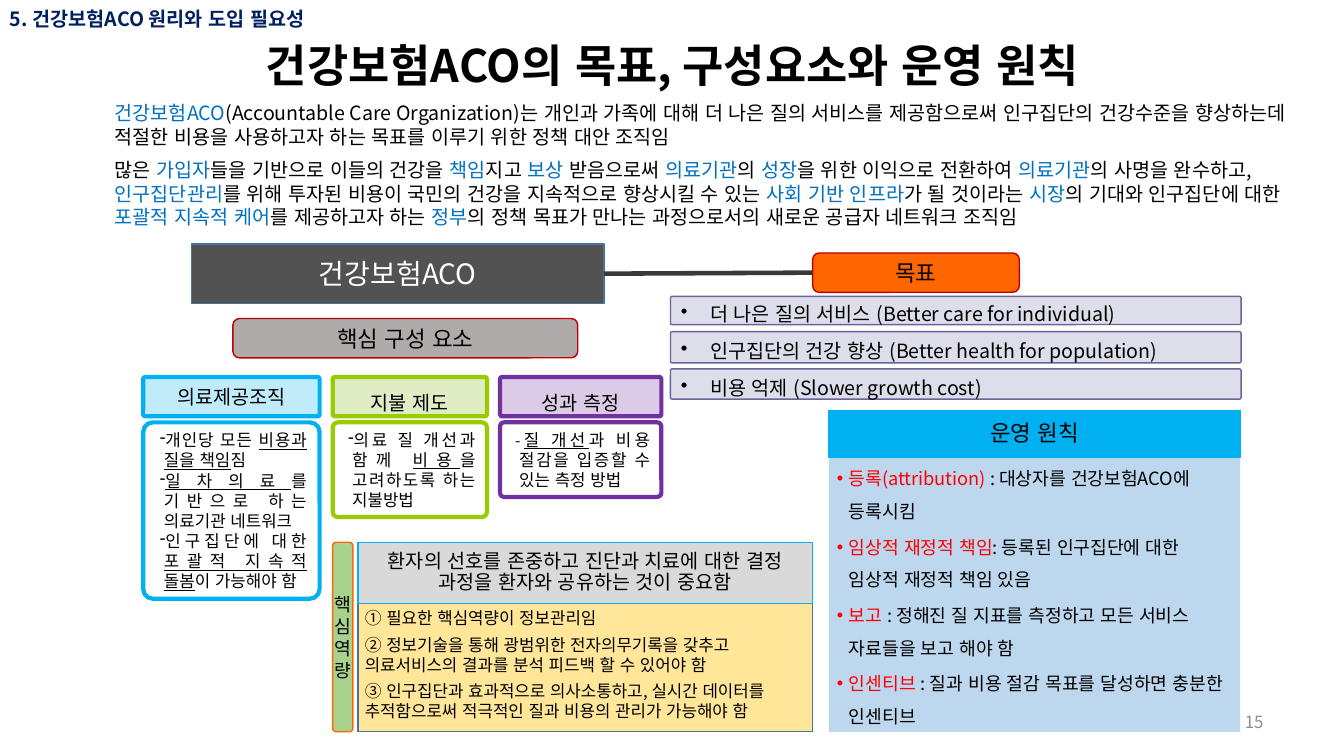
"""Build the slide on the goals, components and operating principles of a health insurance ACO."""
from dataclasses import dataclass, replace
from typing import NamedTuple, Optional

from lxml.etree import SubElement
from pptx import Presentation
from pptx.dml.color import RGBColor
from pptx.enum.lang import MSO_LANGUAGE_ID
from pptx.enum.shapes import MSO_CONNECTOR, MSO_SHAPE
from pptx.enum.text import MSO_ANCHOR, MSO_AUTO_SIZE, PP_ALIGN
from pptx.oxml.ns import qn
from pptx.util import Inches, Pt

FONT = "Noto Sans CJK KR"
BLACK = RGBColor(0x00, 0x00, 0x00)
WHITE = RGBColor(0xFF, 0xFF, 0xFF)
GRAY = RGBColor(0x8C, 0x8C, 0x8C)
NAVY = RGBColor(0x00, 0x20, 0x60)
BLUE = RGBColor(0x00, 0x70, 0xC0)
STEEL = RGBColor(0x43, 0x73, 0x9E)
SKY = RGBColor(0x00, 0xB0, 0xF0)
PALE_BLUE = RGBColor(0xBD, 0xD7, 0xEE)
RED = RGBColor(0xFF, 0x00, 0x00)
DARK_RED = RGBColor(0xC0, 0x00, 0x00)
ORANGE = RGBColor(0xFF, 0x66, 0x00)
CREAM = RGBColor(0xFF, 0xE6, 0x99)
CHARCOAL = RGBColor(0x52, 0x52, 0x52)
CONNECTOR_GRAY = RGBColor(0x3B, 0x38, 0x38)
WARM_GRAY = RGBColor(0xAF, 0xAB, 0xAB)
LIGHT_GRAY = RGBColor(0xD9, 0xD9, 0xD9)
LAVENDER = RGBColor(0xDE, 0xDE, 0xEA)
SLATE = RGBColor(0x66, 0x66, 0x99)
LEAF = RGBColor(0xA9, 0xD1, 0x8E)
LIME = RGBColor(0x99, 0xCC, 0x00)
OLIVE = RGBColor(0x82, 0xB4, 0x14)
PURPLE = RGBColor(0x70, 0x30, 0xA0)

RECTANGLE, ROUNDED = MSO_SHAPE.RECTANGLE, MSO_SHAPE.ROUNDED_RECTANGLE


@dataclass(frozen=True)
class TextStyle:
    """Describe text in which every second part between bars is emphasised."""
    size: float
    color: RGBColor = BLACK
    bold: bool = False
    align: PP_ALIGN = PP_ALIGN.LEFT
    emphasis: RGBColor = BLACK
    underline: bool = False
    margins: tuple = (0.1, 0.05, 0.1, 0.05)
    anchor: MSO_ANCHOR = MSO_ANCHOR.MIDDLE
    indent: tuple = (0, 0)
    bullet: str = ""
    spacing: float = 1.0
    after: float = 0


@dataclass(frozen=True)
class Look:
    """Describe the outline, fill and border of a shape."""
    kind: MSO_SHAPE
    fill: Optional[RGBColor]
    line: RGBColor
    line_width: float = 1
    corner: Optional[float] = None
    opacity: int = 100


class Pillar(NamedTuple):
    """Hold one core component with its heading and detail panel."""
    left: float
    width: float
    height: float
    color: RGBColor
    tint: RGBColor
    heading: str
    spacing: float
    bullet: str
    details: tuple


CENTERED = TextStyle(16, align=PP_ALIGN.CENTER)
BANNER = replace(CENTERED, margins=(0.16, 0.09, 0.16, 0.09), spacing=0.9)
INTRO = TextStyle(14, emphasis=BLUE)
GOAL = TextStyle(14, indent=(0.29, -0.29), bullet="•", spacing=1.3)
DETAIL = TextStyle(12, align=PP_ALIGN.JUSTIFY, underline=True, indent=(0.08, -0.04))
PRINCIPLE = TextStyle(13, emphasis=RED, margins=(0.08, 0, 0.08, 0.08), anchor=MSO_ANCHOR.TOP,
                      indent=(0.12, -0.12), bullet="•", spacing=1.5, after=2)

INTROS = (
    ((1.04, 1, 12.02, 0.47),
     "|건강보험ACO|(Accountable Care Organization)는 개인과 가족에 대해 더 나은 질의 서비스를 제공함으로써 "
     "인구집단의 건강수준을 향상하는데 적절한 비용을 사용하고자 하는 목표를 이루기 위한 정책 대안 조직임"),
    ((1.04, 1.58, 12.19, 0.68),
     "많은 |가입자|들을 기반으로 이들의 건강을 |책임|지고 |보상 |받음으로써 |의료기관|의 |성장|을 위한 이익으로 "
     "전환하여 |의료기관|의 사명을 완수하고, |인구집단관리|를 위해 투자된 비용이 국민의 건강을 지속적으로 향상시킬 "
     "수 있는 |사회 기반 인프라|가 될 것이라는 |시장|의 기대와 인구집단에 대한 |포괄적 지속적 케어|를 제공하고자 "
     "하는 |정부|의 정책 목표가 만나는 과정으로서의 새로운 공급자 네트워크 조직임"),
)
GOALS = (
    (2.94, 0.28, "더 나은 질의 서비스 (Better care for individual)"),
    (3.29, 0.31, "인구집단의 건강 향상 (Better health for population)"),
    (3.66, 0.3, "비용 억제 (Slower growth cost)"),
)
PILLARS = (
    Pillar(1.42, 1.75, 1.75, SKY, SKY, "의료제공조직", 1, "-",
           ("개인당 모든 |비용과 질을 책임|짐", "|일차의료|를 기반으로 하는 의료기관 네트워크",
            "인구집단에 대한 |포괄적 지속적 돌봄|이 가능해야 함")),
    Pillar(3.3, 1.53, 0.94, LIME, OLIVE, "지불 제도", 1.5, "-",
           ("의료 질 개선과 함께 |비용|을 고려하도록 하는 지불방법",)),
    Pillar(4.96, 1.6, 0.74, PURPLE, PURPLE, "성과 측정", 1.5, "",
           ("-|질 개선|과 비용 절감을 입증할 수 있는 측정 방법",)),
)
PRINCIPLES = (
    "|등록(attribution) |: 대상자를 건강보험ACO에 등록시킴",
    "|임상적 재정적 책임|: 등록된 인구집단에 대한 임상적 재정적 책임 있음",
    "|보고 |: 정해진 질 지표를 측정하고 모든 서비스 자료들을 보고 해야 함",
    "|인센티브 |: 질과 비용 절감 목표를 달성하면 충분한 인센티브",
)
CAPABILITIES = (
    ((3.52, 5.95, 4.75, 0.36), "① 필요한 핵심역량이 정보관리임"),
    ((3.52, 6.26, 4.44, 0.47),
     "② 정보기술을 통해 광범위한 전자의무기록을 갖추고 의료서비스의 결과를 분석 피드백 할 수 있어야 함"),
    ((3.52, 6.72, 4.56, 0.47),
     "③ 인구집단과 효과적으로 의사소통하고, 실시간 데이터를 추적함으로써 적극적인 질과 비용의 관리가 가능해야 함"),
)


def apply(target, values: dict) -> None:
    """Set each named attribute on the target."""
    for name, value in values.items():
        setattr(target, name, value)


def write(shape, texts: tuple, style: TextStyle) -> None:
    """Fill a shape with styled paragraphs."""
    frame = shape.text_frame
    left, top, right, bottom = map(Inches, style.margins)
    apply(frame, {"word_wrap": True, "auto_size": MSO_AUTO_SIZE.NONE, "vertical_anchor": style.anchor,
                  "margin_left": left, "margin_top": top, "margin_right": right, "margin_bottom": bottom})
    for index, text in enumerate(texts):
        paragraph = frame.add_paragraph() if index else frame.paragraphs[0]
        properties = paragraph._p.get_or_add_pPr()
        for name, length in zip(("marL", "indent"), style.indent):
            properties.set(name, str(Inches(length)))
        if style.bullet:
            SubElement(properties, qn("a:buChar")).set("char", style.bullet)
        apply(paragraph, {"alignment": style.align, "line_spacing": style.spacing,
                          "space_before": Pt(0), "space_after": Pt(style.after)})
        for part, words in enumerate(text.split("|")):
            if not words:
                continue
            run = paragraph.add_run()
            run.text = words
            emphasised = part % 2 == 1
            apply(run.font, {"size": Pt(style.size), "name": FONT, "bold": style.bold,
                             "underline": emphasised and style.underline,
                             "language_id": MSO_LANGUAGE_ID.KOREAN})
            run.font.color.rgb = style.emphasis if emphasised else style.color
            SubElement(run._r.get_or_add_rPr(), qn("a:ea")).set("typeface", FONT)


def place(shape, area: tuple) -> None:
    """Move and size a placeholder."""
    apply(shape, dict(zip(("left", "top", "width", "height"), map(Inches, area))))


def add_label(slide, area: tuple, text: str, style: TextStyle) -> None:
    """Add a text box."""
    write(slide.shapes.add_textbox(*map(Inches, area)), (text,), style)


def add_box(slide, area: tuple, look: Look, texts: tuple = (), style: TextStyle = CENTERED):
    """Add a preset shape with its look and text."""
    shape = slide.shapes.add_shape(look.kind, *map(Inches, area))
    shape.shadow.inherit = False
    if look.corner is not None:
        shape.adjustments[0] = look.corner
    if look.fill is None:
        shape.fill.background()
    else:
        shape.fill.solid()
        shape.fill.fore_color.rgb = look.fill
        if look.opacity < 100:
            color = shape._element.spPr.find(qn("a:solidFill"))[0]
            SubElement(color, qn("a:alpha")).set("val", str(look.opacity * 1000))
    shape.line.color.rgb = look.line
    shape.line.width = Pt(look.line_width)
    write(shape, texts, style)
    return shape


def add_pillar(slide, pillar: Pillar) -> None:
    """Add a core component heading above its detail panel."""
    panel = Look(ROUNDED, None, pillar.color, 3, 0.055)
    detail = add_box(slide, (pillar.left, 4.19, pillar.width, pillar.height), panel,
                     pillar.details, replace(DETAIL, bullet=pillar.bullet))
    if not pillar.bullet:
        detail.text_frame.paragraphs[0].runs[0].font.size = Pt(11)
    add_box(slide, (pillar.left, 3.74, pillar.width, 0.39), replace(panel, fill=pillar.tint, opacity=25),
            (pillar.heading,), replace(CENTERED, size=14, spacing=pillar.spacing))


def add_link(slide, start, end) -> None:
    """Join the right side of one box to the left side of another."""
    connector = slide.shapes.add_connector(MSO_CONNECTOR.STRAIGHT, 0, 0, 0, 0)
    connector.begin_connect(start, 3)
    connector.end_connect(end, 1)
    connector.line.color.rgb = CONNECTOR_GRAY
    connector.line.width = Pt(3.25)
    SubElement(connector._element.spPr, qn("a:effectLst"))


def main() -> None:
    """Build and save the presentation."""
    presentation = Presentation()
    apply(presentation, {"slide_width": Inches(13.33), "slide_height": Inches(7.5)})
    slide = presentation.slides.add_slide(presentation.slide_layouts[1])
    title, principles = slide.placeholders
    place(title, (0.92, 0.41, 11.5, 0.52))
    write(title, ("건강보험ACO의 목표, 구성요소와 운영 원칙",), replace(CENTERED, size=32, bold=True, spacing=0.9))
    place(principles, (8.22, 4.53, 4.08, 2.73))
    principles.fill.solid()
    principles.fill.fore_color.rgb = PALE_BLUE
    write(principles, PRINCIPLES, PRINCIPLE)

    add_label(slide, (0, 0.04, 4.15, 0.29), "5. 건강보험ACO 원리와 도입 필요성", TextStyle(14, NAVY, True))
    for area, text in INTROS:
        add_label(slide, area, text, INTRO)
    organization = add_box(slide, (1.9, 2.42, 4.09, 0.59), Look(RECTANGLE, CHARCOAL, STEEL),
                           ("건강보험ACO",), replace(CENTERED, size=20, color=WHITE))
    target = add_box(slide, (8.06, 2.51, 2.05, 0.39), Look(ROUNDED, ORANGE, DARK_RED), ("목표",))
    add_link(slide, organization, target)
    for top, height, text in GOALS:
        add_box(slide, (6.65, top, 5.66, height), Look(ROUNDED, LAVENDER, SLATE, corner=0.055), (text,), GOAL)
    add_box(slide, (2.31, 3.16, 3.42, 0.39), Look(ROUNDED, WARM_GRAY, DARK_RED), ("핵심 구성 요소",))
    for pillar in PILLARS:
        add_pillar(slide, pillar)
    add_box(slide, (8.22, 4.07, 4.08, 0.47), Look(RECTANGLE, SKY, SKY), ("운영 원칙",), BANNER)

    add_box(slide, (3.3, 5.38, 0.2, 1.88), Look(ROUNDED, LEAF, ORANGE), ("핵심역량",),
            replace(CENTERED, size=13, margins=(0, 0, 0, 0)))
    add_box(slide, (3.55, 5.99, 4.51, 1.27), Look(RECTANGLE, CREAM, STEEL))
    add_box(slide, (3.55, 5.38, 4.51, 0.61), Look(RECTANGLE, LIGHT_GRAY, SKY),
            ("환자의 선호를 존중하고 진단과 치료에 대한 결정 과정을 환자와 공유하는 것이 중요함",),
            replace(BANNER, size=14))
    for area, text in CAPABILITIES:
        add_label(slide, area, text, TextStyle(12))
    add_label(slide, (9.63, 6.96, 3, 0.4), "15", TextStyle(12, GRAY, align=PP_ALIGN.RIGHT))
    presentation.save("out.pptx")


if __name__ == "__main__":
    main()
